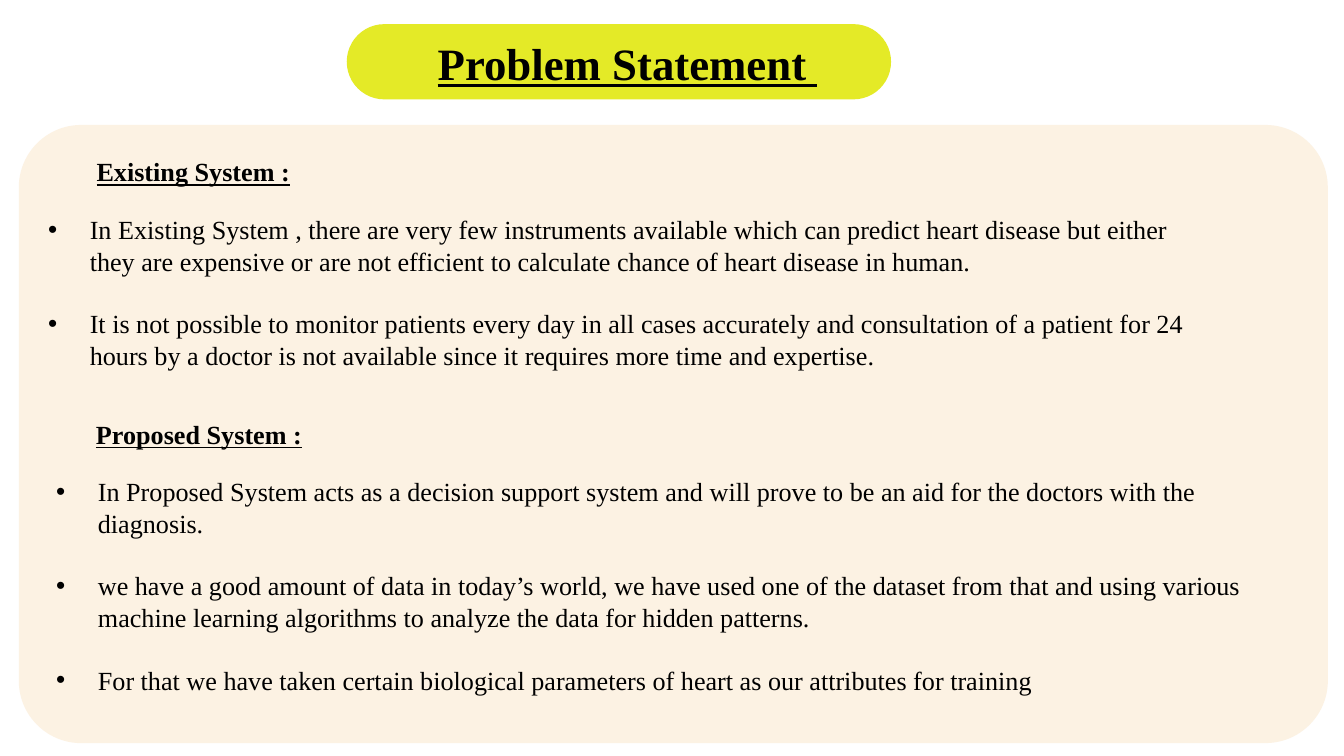
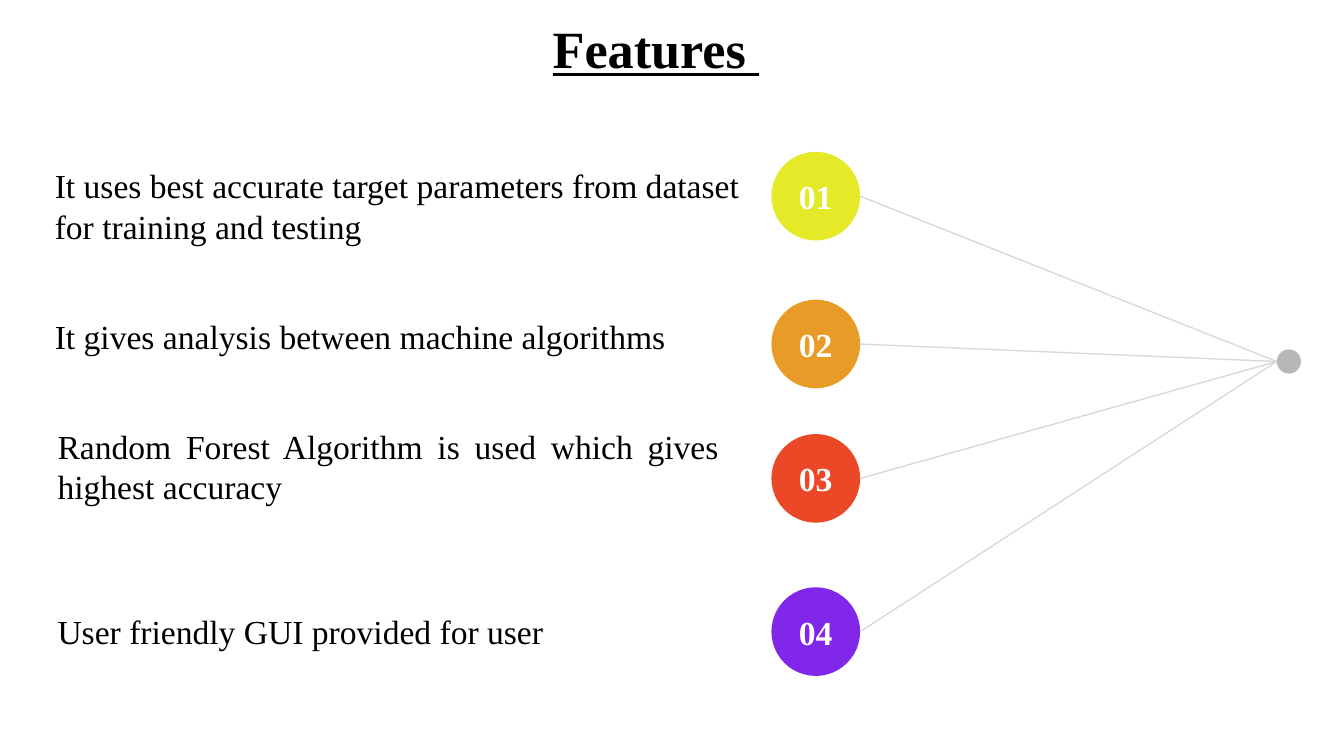
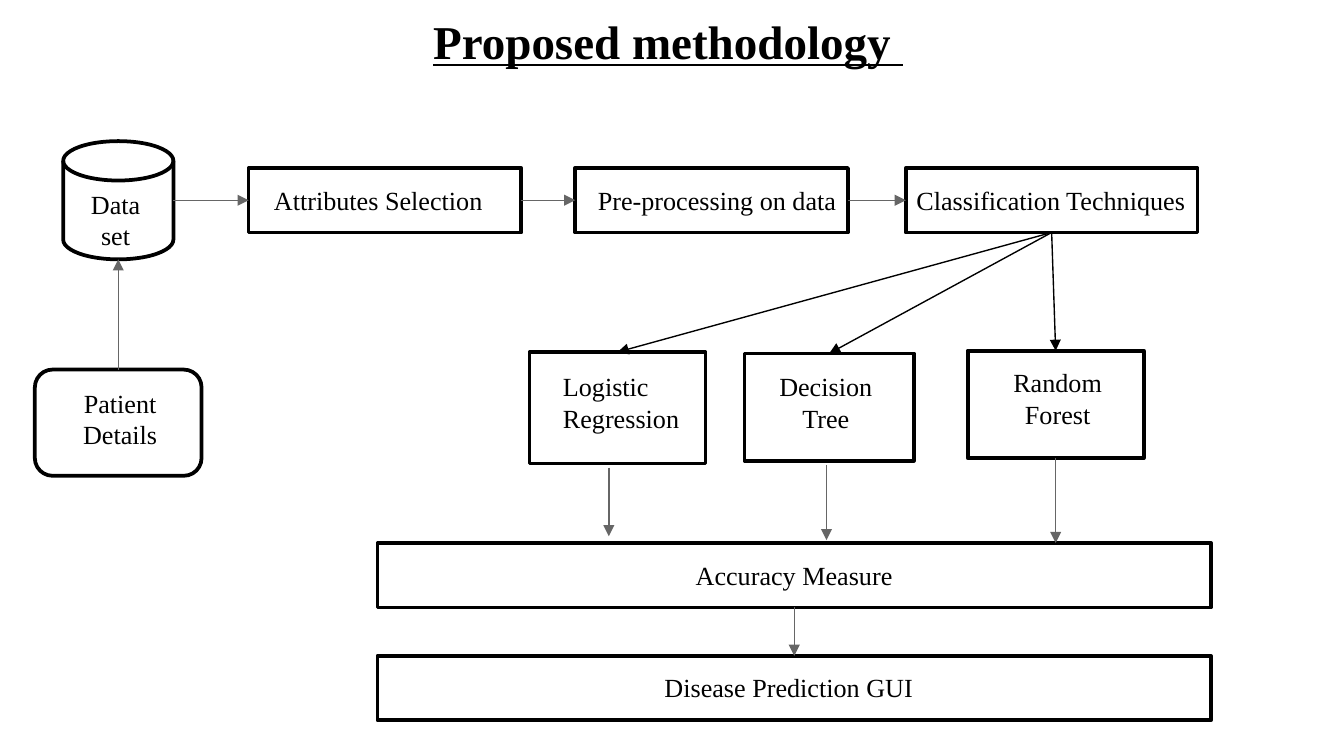
from collections import namedtuple
from dataclasses import dataclass

from lxml import etree
from pptx import Presentation
from pptx.dml.color import RGBColor
from pptx.enum.shapes import MSO_CONNECTOR as Connector, MSO_SHAPE as Preset
from pptx.enum.text import MSO_ANCHOR as Anchor, PP_ALIGN as Align
from pptx.oxml.ns import qn
from pptx.util import Inches, Pt

Box = namedtuple("Box", "left top width height")
Node = namedtuple("Node", "preset box text label align")
TOP, LEFT, BOTTOM, RIGHT = range(4)


@dataclass(frozen=True)
class Theme:
    """Colours, font and type sizes shared by the slides."""
    font: str = "Times New Roman"
    ink: str = "000000"
    white: str = "FFFFFF"
    lime: str = "E4EA27"
    orange: str = "E99B27"
    red: str = "EA4827"
    violet: str = "8027EA"
    hub: str = "B7B7B7"
    ray: str = "D9D9D9"
    arrow: str = "666666"
    body: float = 14
    feature: float = 18
    pill_title: float = 24
    flow_title: float = 25.2
    feature_title: float = 28
    bullet_gap: float = 16.8
    outline: float = 2
    hairline: float = 0.75


THEME = Theme()


def color(value):
    """Turn a hex string into a colour."""
    return RGBColor.from_string(value)


def inside(box, left, top, width, height):
    """Return a box whose corner is offset from another box."""
    return Box(box.left + left, box.top + top, width, height)


def write(shape, text, size, align=Align.LEFT, ink=THEME.ink, bold=False, underline=False):
    """Fill a shape with text in the shared font."""
    text_frame = shape.text_frame
    text_frame.word_wrap = True
    text_frame.text = text
    for paragraph in text_frame.paragraphs:
        paragraph.alignment = align
        for run in paragraph.runs:
            run.font.name, run.font.size = THEME.font, Pt(size)
            run.font.bold, run.font.underline = bold, underline
            run.font.color.rgb = color(ink)
    return text_frame


def center_vertically(text_frame):
    """Anchor text in the middle with even insets."""
    text_frame.vertical_anchor = Anchor.MIDDLE
    text_frame.margin_top = text_frame.margin_bottom = Inches(0.1)


def add_text(slide, box, text, size=THEME.body, **style):
    """Add a wrapping text box."""
    shape = slide.shapes.add_textbox(*map(Inches, box))
    return write(shape, text, size, **style)


def add_title(slide, box, text, size):
    """Add a bold underlined title."""
    center_vertically(add_text(slide, box, text, size, align=Align.CENTER, bold=True, underline=True))


def add_shape(slide, preset, box, fill=None, line=None):
    """Add a flat preset shape with an optional fill and outline."""
    shape = slide.shapes.add_shape(preset, *map(Inches, box))
    shape.shadow.inherit = False
    if fill:
        shape.fill.solid()
        shape.fill.fore_color.rgb = color(fill)
    else:
        shape.fill.background()
    if line:
        shape.line.color.rgb = color(line)
        shape.line.width = Pt(THEME.outline)
    else:
        shape.line.fill.background()
    return shape


def add_line(slide, start, end, ink, arrow=False):
    """Join two ends, each a point or a shape with its side."""
    points = [end_point if isinstance(end_point[0], (int, float)) else (0, 0) for end_point in (start, end)]
    connector = slide.shapes.add_connector(Connector.STRAIGHT, *(Inches(value) for point in points for value in point))
    for end_point, point, connect in zip((start, end), points, (connector.begin_connect, connector.end_connect)):
        if end_point is not point:
            connect(*end_point)
    connector.line.color.rgb = color(ink)
    connector.line.width = Pt(THEME.hairline)
    properties = connector._element.spPr
    if arrow:
        etree.SubElement(properties.find(qn("a:ln")), qn("a:tailEnd"), type="triangle")
    etree.SubElement(properties, qn("a:effectLst"))


def add_bullets(slide, box, items, margin_right=0.1):
    """Add a spaced bullet list with hanging indents."""
    text_frame = add_text(slide, box, "\n".join(items))
    text_frame.margin_right = Inches(margin_right)
    for index, paragraph in enumerate(text_frame.paragraphs):
        paragraph.space_before = Pt(THEME.bullet_gap if index else 0)
        properties = paragraph._p.get_or_add_pPr()
        properties.set("marL", str(Inches(0.31)))
        properties.set("indent", str(-Inches(0.31)))
        bullet_color = etree.SubElement(properties, qn("a:buClr"))
        etree.SubElement(bullet_color, qn("a:srgbClr"), val=THEME.ink)
        etree.SubElement(properties, qn("a:buFont"), typeface="Arial")
        etree.SubElement(properties, qn("a:buChar"), char="•")


def add_title_pill(slide, box, text):
    """Add a title on a rounded lime band."""
    pill = add_shape(slide, Preset.ROUNDED_RECTANGLE, box, THEME.lime)
    pill.adjustments[0] = 0.5
    add_title(slide, inside(box, 0.13, -0.23, 3.92, 1.03), text, THEME.pill_title)


def add_systems_panel(slide, box):
    """Add the tinted panel comparing the existing and proposed systems."""
    panel = add_shape(slide, Preset.ROUNDED_RECTANGLE, box, THEME.orange)
    panel.adjustments[0] = 0.101
    tint = panel._element.spPr.find(qn("a:solidFill"))[0]
    etree.SubElement(tint, qn("a:alpha"), val="13000")
    heading = write(panel, "Proposed System :", THEME.body, bold=True, underline=True)
    center_vertically(heading)
    heading.paragraphs[0]._p.get_or_add_pPr().set("marL", str(Inches(0.34)))
    add_text(slide, inside(box, 0.48, 0.18, 2.6, 0.34), "Existing System :", bold=True, underline=True)
    add_bullets(slide, inside(box, 0.12, 0.61, 9.09, 1.28), [
        "In Existing System , there are very few instruments available which can predict heart disease "
        "but either they are expensive or are not efficient to calculate chance of heart disease in human.",
        "It is not possible to monitor patients every day in all cases accurately and consultation of a "
        "patient for 24 hours by a doctor is not available since it requires more time and expertise.",
    ], margin_right=0.4)
    add_bullets(slide, inside(box, 0.18, 2.56, 9.18, 1.75), [
        "In Proposed System acts as a decision support system and will prove to be an aid for the doctors "
        "with the diagnosis.",
        "we have a good amount of data in today’s world, we have used one of the dataset from that and "
        "using various machine learning algorithms to analyze the data for hidden patterns.",
        "For that we have taken certain biological parameters of heart as our attributes for training",
    ])


def build_problem_slide(slide):
    """Build the problem statement slide."""
    add_systems_panel(slide, Box(0.14, 0.93, 9.74, 4.6))
    add_title_pill(slide, Box(2.58, 0.18, 4.05, 0.56), "Problem Statement ")


def add_feature_fan(slide, box):
    """Add numbered features whose rays meet at one hub."""
    features = [
        (0, THEME.lime, Box(0, 0.05, 5.43, 0.94), Align.JUSTIFY,
         "It uses best accurate target parameters from dataset\nfor training and testing"),
        (1.1, THEME.orange, Box(0, 1.17, 5.43, 0.4), Align.JUSTIFY,
         "It gives analysis between machine algorithms"),
        (2.1, THEME.red, Box(0.02, 1.99, 5.12, 0.71), Align.JUSTIFY,
         "Random Forest Algorithm is used which gives highest accuracy"),
        (3.24, THEME.violet, Box(0.02, 3.37, 4.57, 0.4), Align.LEFT,
         "User friendly GUI provided for user"),
    ]
    badge_left, badge_size, hub_size = 5.43, 0.66, 0.18
    hub = inside(box, box.width - hub_size, 1.47, hub_size, hub_size)
    add_shape(slide, Preset.OVAL, hub, THEME.hub)
    for number, (top, fill, label, align, text) in enumerate(features, 1):
        badge = inside(box, badge_left, top, badge_size, badge_size)
        shape = add_shape(slide, Preset.OVAL, badge, fill)
        center_vertically(write(shape, f"{number:02}", THEME.feature, Align.CENTER, THEME.white, bold=True))
        add_line(slide, (hub.left, hub.top + hub_size / 2),
                 (badge.left + badge_size, badge.top + badge_size / 2), THEME.ray)
        add_text(slide, inside(box, *label), text, THEME.feature, align=align)


def build_features_slide(slide):
    """Build the features slide."""
    add_title(slide, Box(0.38, 0.15, 9, 0.41), "Features ", THEME.feature_title)
    add_feature_fan(slide, Box(0.31, 1.13, 9.37, 3.9))


def add_node(slide, area, node):
    """Add an outlined flow step and its label."""
    box = inside(area, *node.box)
    shape = add_shape(slide, node.preset, box, line=THEME.ink)
    add_text(slide, inside(box, *node.label), node.text, align=node.align)
    return shape


def add_flow(slide, area):
    """Add the steps from patient details to prediction and their arrows."""
    step, center, left = Preset.RECTANGLE, Align.CENTER, Align.LEFT
    nodes = {
        "dataset": Node(Preset.FLOWCHART_MAGNETIC_DISK, Box(0.21, 0, 0.82, 0.88), "Data set",
                        Box(0.08, 0.3, 0.62, 0.57), center),
        "patient": Node(Preset.ROUNDED_RECTANGLE, Box(0, 1.7, 1.24, 0.79), "Patient\nDetails",
                        Box(0.12, 0.08, 1.03, 0.57), center),
        "attributes": Node(step, Box(1.59, 0.2, 2.03, 0.48), "Attributes Selection",
                           Box(0.09, 0.07, 2.03, 0.34), left),
        "preprocessing": Node(step, Box(4.02, 0.2, 2.03, 0.48), "Pre-processing on data",
                              Box(0.07, 0.07, 2.03, 0.34), left),
        "classification": Node(step, Box(6.48, 0.2, 2.17, 0.48), "Classification Techniques",
                               Box(-0.02, 0.07, 2.34, 0.34), left),
        "logistic": Node(step, Box(3.68, 1.57, 1.31, 0.83), "Logistic Regression",
                         Box(0.15, 0.09, 1.23, 0.57), left),
        "tree": Node(step, Box(5.28, 1.58, 1.26, 0.8), "Decision Tree",
                     Box(-0.03, 0.08, 1.27, 0.57), center),
        "forest": Node(step, Box(6.94, 1.56, 1.31, 0.8), "Random Forest",
                       Box(0, 0.07, 1.34, 0.57), center),
        "accuracy": Node(step, Box(2.55, 2.99, 6.2, 0.48), "Accuracy Measure",
                         Box(0.05, 0.07, 6.1, 0.34), center),
        "prediction": Node(step, Box(2.55, 3.83, 6.2, 0.48), "Disease Prediction GUI",
                           Box(0.01, 0.07, 6.1, 0.34), center),
    }
    shapes = {name: add_node(slide, area, node) for name, node in nodes.items()}
    forest = nodes["forest"].box

    def point(x, y):
        """Return a point measured from the corner of the flow."""
        return area.left + x, area.top + y

    arrows = [
        (point(1.03, 0.44), (shapes["attributes"], LEFT)),
        ((shapes["patient"], TOP), point(0.62, 0.88)),
        ((shapes["attributes"], RIGHT), (shapes["preprocessing"], LEFT)),
        ((shapes["preprocessing"], RIGHT), (shapes["classification"], LEFT)),
        (point(4.27, 2.43), point(4.27, 2.94)),
        (point(5.89, 2.41), point(5.89, 2.97)),
        ((shapes["forest"], BOTTOM), point(forest.left + forest.width / 2, 2.99)),
        ((shapes["accuracy"], BOTTOM), (shapes["prediction"], TOP)),
    ]
    for start, end in arrows:
        add_line(slide, start, end, THEME.arrow, arrow=True)
    for model in ("logistic", "tree", "forest"):
        add_line(slide, (shapes["classification"], BOTTOM), (shapes[model], TOP), THEME.ink, arrow=True)


def build_methodology_slide(slide):
    """Build the methodology slide."""
    add_title(slide, Box(0.47, 0.1, 9, 0.41), "Proposed methodology ", THEME.flow_title)
    add_flow(slide, Box(0.26, 1.05, 8.75, 4.31))


def main():
    """Build and save the presentation."""
    presentation = Presentation()
    presentation.slide_width = Inches(10)
    presentation.slide_height = presentation.slide_width * 9 // 16
    for build in (build_problem_slide, build_features_slide, build_methodology_slide):
        build(presentation.slides.add_slide(presentation.slide_layouts[6]))
    presentation.save("out.pptx")


if __name__ == "__main__":
    main()
